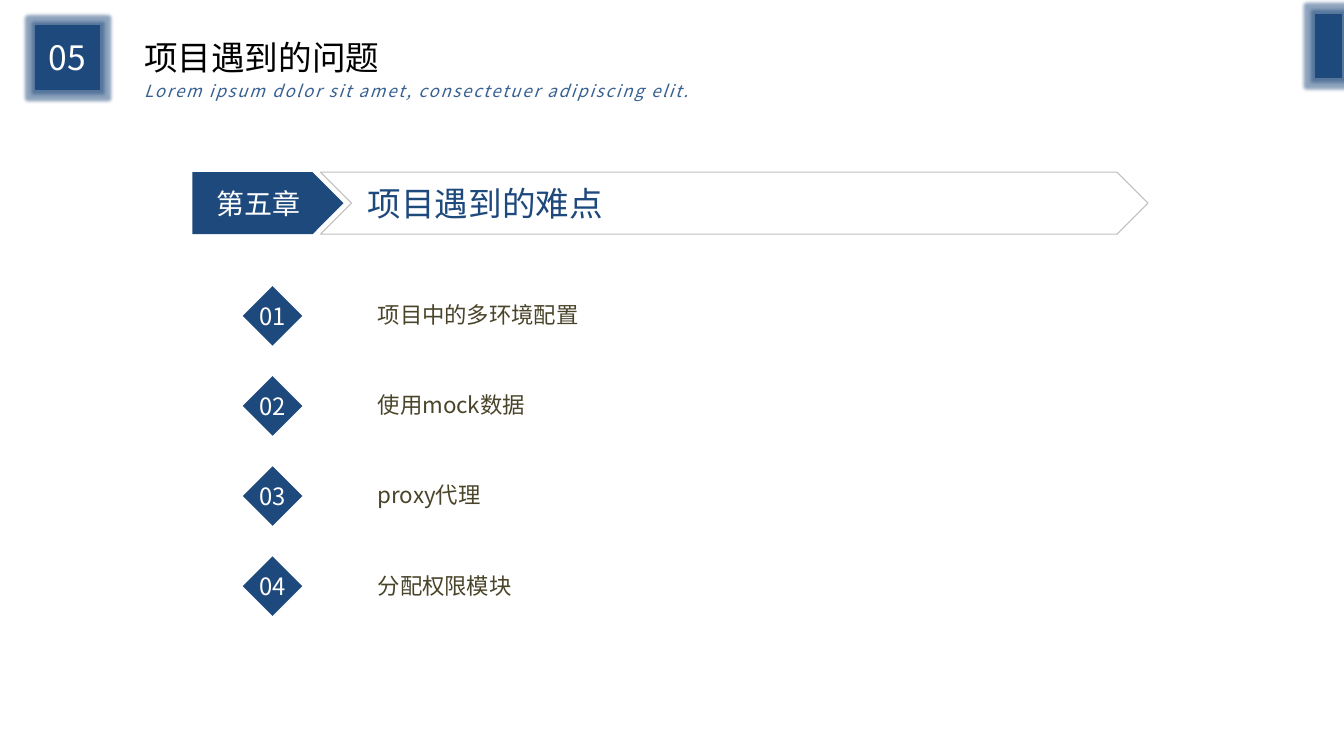
"""Build the chapter slide listing the difficulties met in the project."""
from dataclasses import dataclass

from lxml import etree
from pptx import Presentation
from pptx.dml.color import RGBColor
from pptx.enum import shapes, text
from pptx.oxml import ns
from pptx.util import Cm, Pt

SECTION = "05"
TITLE = "项目遇到的问题"
SUBTITLE = "Lorem ipsum dolor sit amet, consectetuer adipiscing elit."
CHAPTER = "第五章"
HEADING = "项目遇到的难点"
TOPICS = ["项目中的多环境配置", "使用mock数据", "proxy代理", "分配权限模块"]


@dataclass(frozen=True)
class Theme:
    """Colours, type sizes and font of the slide."""
    font: str = "Noto Sans CJK SC"
    navy: str = "1E497C"
    blue: str = "376092"
    olive: str = "4A452A"
    grey: str = "BFBFBF"
    white: str = "FFFFFF"
    black: str = "000000"
    title: int = 24
    chapter: int = 20
    number: int = 17
    topic: int = 16
    subtitle: int = 12


THEME = Theme()
KIND = shapes.MSO_SHAPE
ALIGN = text.PP_ALIGN
MIDDLE = text.MSO_ANCHOR.MIDDLE
TOP = text.MSO_ANCHOR.TOP
INSETS = (0.25, 0.13, 0.25, 0.13)

SQUARE = 1.6
BADGE_LEFT, BADGE_TOP = 0.91, 0.66
EDGE_LEFT, EDGE_TOP, EDGE_WIDTH = 33.15, 0.36, 0.66
TITLE_LEFT = 3.38
BANNER_TOP, BANNER_HEIGHT = 4.34, 1.56
LIST_TOP, LIST_PITCH = 7.21, 2.27
DIAMOND = 1.5


def write(sp, content, size, color, align=ALIGN.LEFT, anchor=MIDDLE,
          insets=INSETS, leading=None):
    """Fill a shape with one formatted paragraph and return it."""
    tf = sp.text_frame
    tf.word_wrap = True
    tf.vertical_anchor = anchor
    tf.margin_left, tf.margin_top, tf.margin_right, tf.margin_bottom = map(Cm, insets)
    tf.text = content
    p = tf.paragraphs[0]
    p.alignment = align
    if leading:
        p.line_spacing = Pt(leading)
    font = p.font
    font.name, font.size = THEME.font, Pt(size)
    font.color.rgb = RGBColor.from_string(color)
    props = p._p.pPr.find(ns.qn("a:defRPr"))
    etree.SubElement(props, ns.qn("a:ea")).set("typeface", THEME.font)
    return p


def add_box(slide, *box):
    """Add an empty text box measured in centimetres."""
    return slide.shapes.add_textbox(*map(Cm, box))


def add_block(slide, kind, box, fill=None, line=None, width=1):
    """Add a flat preset shape measured in centimetres."""
    sp = slide.shapes.add_shape(kind, *map(Cm, box))
    sp.shadow.inherit = False
    if fill:
        sp.fill.solid()
        sp.fill.fore_color.rgb = RGBColor.from_string(fill)
    else:
        sp.fill.background()
    if line:
        sp.line.color.rgb = RGBColor.from_string(line)
        sp.line.width = Pt(width)
    else:
        sp.line.fill.background()
    return sp


def add_glowing_block(slide, *box):
    """Add a navy rectangle with a soft glow."""
    sp = add_block(slide, KIND.RECTANGLE, box, THEME.navy, THEME.navy)
    effects = sp._element.spPr.find(ns.qn("a:effectLst"))
    glow = etree.SubElement(effects, ns.qn("a:glow"), rad=str(Pt(5)))
    color = etree.SubElement(glow, ns.qn("a:srgbClr"), val=THEME.navy)
    etree.SubElement(color, ns.qn("a:alpha"), val="50000")


def add_header(slide):
    """Add the section badge, title, subtitle and edge block."""
    add_glowing_block(slide, BADGE_LEFT, BADGE_TOP, SQUARE, SQUARE)
    write(add_box(slide, 0.76, 0.81, 1.88, 1.27), SECTION, THEME.title,
          THEME.white, ALIGN.CENTER)
    p = write(add_box(slide, TITLE_LEFT, 1.85, 17.22, 0.81), SUBTITLE,
              THEME.subtitle, THEME.blue, anchor=TOP, leading=16)
    p.font.italic = True
    p._p.pPr.find(ns.qn("a:defRPr")).set("spc", "130")
    add_glowing_block(slide, EDGE_LEFT, EDGE_TOP, EDGE_WIDTH, SQUARE)
    title = slide.shapes.title
    title.left, title.top, title.width, title.height = map(
        Cm, (TITLE_LEFT, 0.81, 6.93, 1.27))
    write(title, TITLE, THEME.title, THEME.black, ALIGN.JUSTIFY, TOP)
    title.text_frame.auto_size = text.MSO_AUTO_SIZE.SHAPE_TO_FIT_TEXT


def add_banner(slide):
    """Add the chapter arrow and the heading chevron."""
    chapter = add_block(slide, KIND.PENTAGON,
                        (4.85, BANNER_TOP, 3.81, BANNER_HEIGHT), THEME.navy)
    write(chapter, CHAPTER, THEME.chapter, THEME.white, insets=(0.61, 0, 0, 0))
    heading = add_block(slide, KIND.CHEVRON,
                        (8.08, BANNER_TOP, 20.85, BANNER_HEIGHT),
                        line=THEME.grey, width=0.75)
    write(heading, HEADING, THEME.title, THEME.navy, ALIGN.JUSTIFY,
          insets=(0.41, 0, 0, 0))


def add_topics(slide):
    """Add the numbered topics at an equal pitch."""
    for i, topic in enumerate(TOPICS):
        top = LIST_TOP + i * LIST_PITCH
        write(add_box(slide, 6.32, top, 23.39, 1.35), topic, THEME.topic,
              THEME.olive, insets=(3.2, 0.13, 0.25, 0.13), leading=22)
        diamond = add_block(slide, KIND.DIAMOND,
                            (6.12, top, DIAMOND, DIAMOND), THEME.navy)
        write(diamond, f"{i + 1:02}", THEME.number, THEME.white, ALIGN.CENTER,
              insets=(0, 0, 0, 0))


def main():
    """Create the presentation and save it."""
    prs = Presentation()
    prs.slide_width, prs.slide_height = Cm(33.87), Cm(19.05)
    slide = prs.slides.add_slide(prs.slide_layouts[5])
    add_header(slide)
    add_banner(slide)
    add_topics(slide)
    prs.save("out.pptx")


if __name__ == "__main__":
    main()
